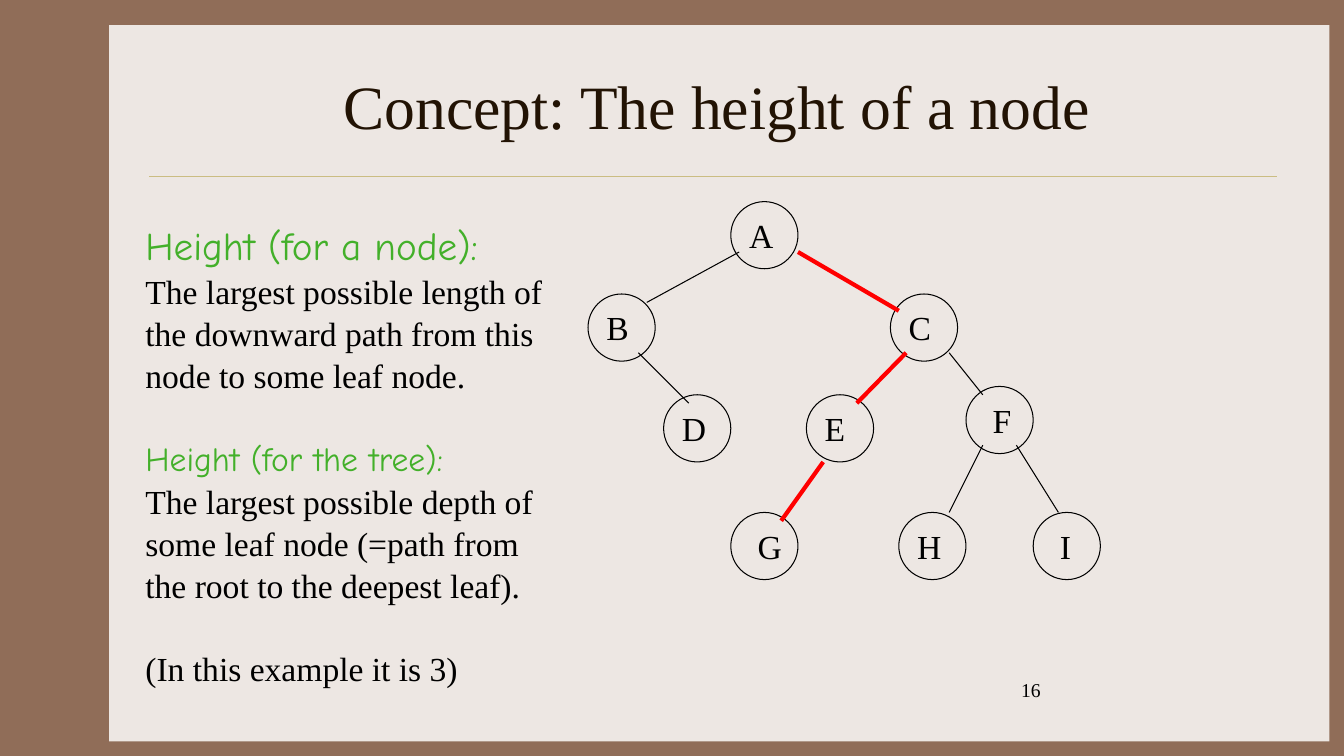
"""Build a slide that explains the height of a node with a binary tree."""
from pptx import Presentation
from pptx.dml.color import RGBColor
from pptx.enum.shapes import MSO_CONNECTOR, MSO_SHAPE
from pptx.enum.text import MSO_ANCHOR, PP_ALIGN
from pptx.oxml.ns import qn
from pptx.util import Pt
from lxml.etree import SubElement

PX = 9525
BROWN = RGBColor(0x90, 0x6D, 0x58)
CREAM = RGBColor(0xED, 0xE7, 0xE3)
GOLD = RGBColor(0xCB, 0xBD, 0x83)
DARK = RGBColor(0x22, 0x13, 0x04)
GREEN = RGBColor(0x43, 0xB0, 0x2A)
RED = RGBColor(0xFF, 0x00, 0x00)
BLACK = RGBColor(0x00, 0x00, 0x00)
SERIF = "Times New Roman"
HAND = "Comic Neue"
NODE_SIZE = 64


def add_line(page, ends, color, width):
    """Draw a straight line between two points given in px."""
    line = page.shapes.add_connector(MSO_CONNECTOR.STRAIGHT, *[value * PX for value in ends])
    line.line.color.rgb = color
    line.line.width = Pt(width)
    SubElement(line.element.spPr, qn("a:effectLst"))


def write(para, text, size, color=BLACK, font=SERIF):
    """Fill a paragraph and format its run."""
    para.text = text
    span = para.runs[0]
    span.font.size = Pt(size)
    span.font.name = font
    span.font.color.rgb = color


deck = Presentation()
deck.slide_width = 1280 * PX
deck.slide_height = 720 * PX
page = deck.slides.add_slide(deck.slide_layouts[5])
page.background.fill.solid()
page.background.fill.fore_color.rgb = BROWN

title = page.shapes.title
title.left, title.top, title.width, title.height = 150 * PX, 40 * PX, 1066 * PX, 120 * PX
title.text_frame.vertical_anchor = MSO_ANCHOR.MIDDLE
write(title.text_frame.paragraphs[0], "Concept: The height of a node", 44, DARK)
title.text_frame.paragraphs[0].alignment = PP_ALIGN.CENTER

panel = page.shapes.add_shape(MSO_SHAPE.RECTANGLE, 104 * PX, 24 * PX, 1162 * PX, 682 * PX)
panel.shadow.inherit = False
panel.fill.solid()
panel.fill.fore_color.rgb = CREAM
panel.line.fill.background()
title.element.addprevious(panel.element)
add_line(page, (142, 168, 1216, 168), GOLD, 0.25)

nodes = [
    ("A", 696, 192, 8),
    ("B", 560, 280, 8),
    ("C", 848, 280, 8),
    ("D", 632, 376, 8),
    ("E", 768, 376, 8),
    ("F", 920, 368, 16),
    ("G", 696, 488, 16),
    ("H", 856, 488, 8),
    ("I", 984, 488, 16),
]
for name, left, top, indent in nodes:
    circle = page.shapes.add_shape(
        MSO_SHAPE.OVAL, left * PX, top * PX, NODE_SIZE * PX, NODE_SIZE * PX)
    circle.shadow.inherit = False
    circle.fill.background()
    circle.line.color.rgb = BLACK
    circle.line.width = Pt(0.75)
    label = page.shapes.add_textbox((left + indent) * PX, (top + 8) * PX, 42 * PX, 48 * PX)
    label.text_frame.word_wrap = False
    write(label.text_frame.paragraphs[0], name, 24)

plain_edges = [
    (704, 240, 616, 288),
    (608, 336, 656, 384),
    (904, 336, 936, 376),
    (936, 424, 904, 488),
    (968, 424, 1008, 488),
]
longest_path = [
    (760, 240, 856, 296),
    (863, 336, 816, 384),
    (784, 440, 744, 496),
]
for edge in plain_edges:
    add_line(page, edge, BLACK, 0.75)
for edge in longest_path:
    add_line(page, edge, RED, 3)

definitions = [
    ("Height (for a node):", 28, GREEN, HAND, 0),
    ("The largest possible length of the downward path from this node to some leaf node.",
     24, BLACK, SERIF, 0),
    ("Height (for the tree):", 24, GREEN, HAND, 29),
    ("The largest possible depth of some leaf node (=path from the root to the deepest leaf).",
     24, BLACK, SERIF, 0),
    ("(In this example it is 3)", 24, BLACK, SERIF, 29),
]
box = page.shapes.add_textbox(129 * PX, 204 * PX, 408 * PX, 443 * PX)
box.text_frame.word_wrap = True
for index, (text, size, color, font, gap) in enumerate(definitions):
    para = box.text_frame.add_paragraph() if index else box.text_frame.paragraphs[0]
    write(para, text, size, color, font)
    para.line_spacing = 1.05
    para.space_before = Pt(gap)

number = page.shapes.add_textbox(963 * PX, 641 * PX, 267 * PX, 48 * PX)
number.text_frame.word_wrap = True
write(number.text_frame.paragraphs[0], "16", 14)

deck.save("out.pptx")
